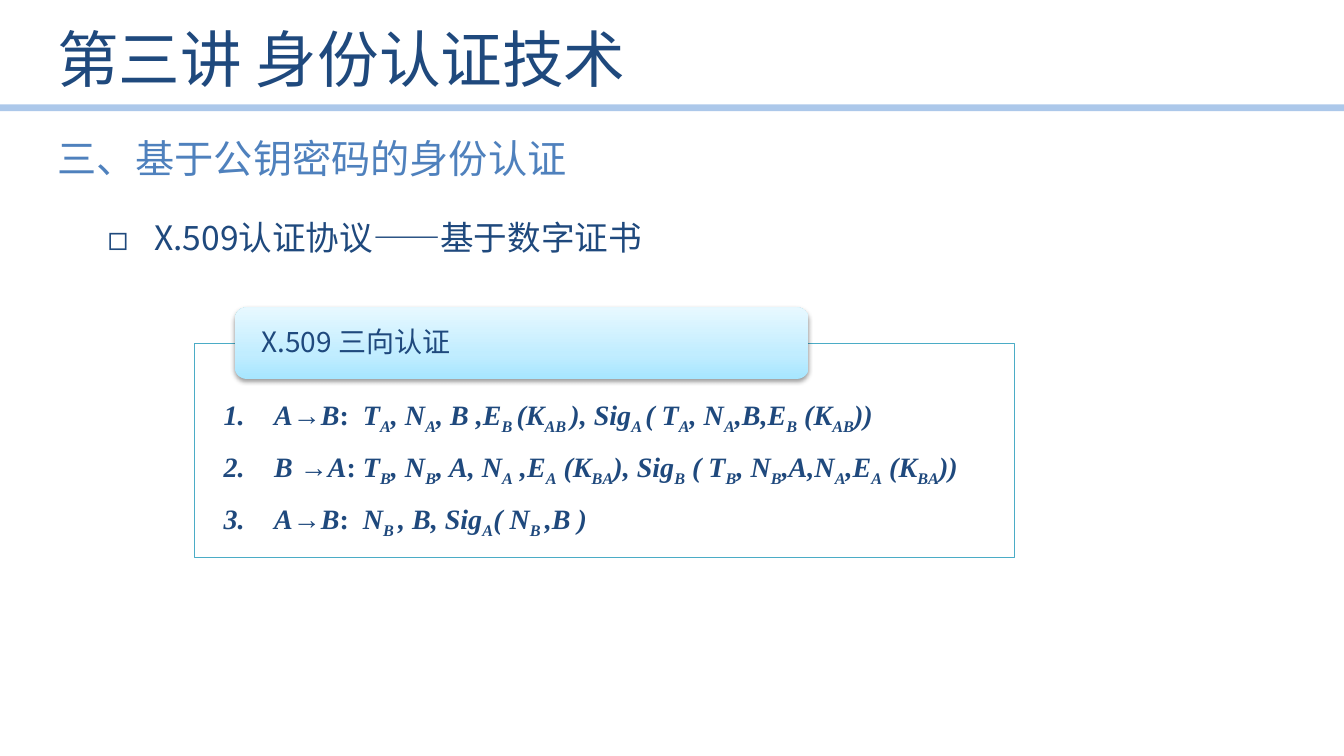
from itertools import groupby

from lxml import etree
from pptx import Presentation
from pptx import util as u
from pptx.dml.color import RGBColor
from pptx.enum import shapes, text
from pptx.oxml.ns import nsdecls, qn

COLORS = {
    "navy": "1F497D", "blue": "4F81BD", "rule": "8EB4E3", "frame": "4BACC6",
    "white": "FFFFFF", "shadow": "000000",
    "label_bottom": "A7E6FF", "label_middle": "C1EDFF", "label_top": "E7F8FF",
}
SANS, SERIF = "Noto Sans CJK SC", "Times New Roman"

# Subscripts stand between angle brackets
PROTOCOL_STEPS = [
    "A→B:  T<A>, N<A>, B ,E<B >(K<AB >), Sig<A >( T<A>, N<A>,B,E<B> (K<AB>))",
    "B →A: T<B>, N<B>, A, N<A> ,E<A> (K<BA>), Sig<B> ( T<B>, N<B>,A,N<A>,E<A> (K<BA>))",
    "A→B:  N<B >, B, Sig<A>( N<B >,B )",
]


def rgb(name):
    return RGBColor.from_string(COLORS[name])


def add_xml(parent, tag, content="", **attributes):
    values = "".join(f' {key}="{value}"' for key, value in attributes.items())
    xml = f'<a:{tag} {nsdecls("a")}{values}>{content}</a:{tag}>'
    parent.append(etree.fromstring(xml))


def set_opacity(properties, percent):
    add_xml(properties.find(".//" + qn("a:srgbClr")), "alpha", val=percent * 1000)


def add_run(paragraph, content, size=20, font=SANS, color="navy",
            bold=False, italic=False, subscript=False):
    run = paragraph.add_run()
    run.text = content
    run.font.size = u.Pt(size)
    run.font.bold, run.font.italic = bold, italic
    run.font.color.rgb = rgb(color)
    run.font.name = font
    properties = run.font._element
    add_xml(properties, "ea", typeface=font)
    if subscript:
        properties.set("baseline", "-25000")


def add_formula(paragraph, formula):
    for index, part in enumerate(formula.replace(">", "<").split("<")):
        # Arrows and colons stay upright
        for upright, letters in groupby(part, lambda letter: letter in "→:"):
            add_run(paragraph, "".join(letters), font=SERIF, bold=True,
                    italic=not upright, subscript=index % 2 == 1)


def format_paragraph(paragraph, line=None, before=None, after=None,
                     margin=0, indent=0, bullet=None, number=None):
    properties = paragraph._p.get_or_add_pPr()
    properties.set("marL", str(u.Inches(margin)))
    properties.set("indent", str(u.Inches(indent)))
    for tag, percent in (("lnSpc", line), ("spcBef", before), ("spcAft", after)):
        if percent is not None:
            add_xml(properties, tag, f'<a:spcPct val="{percent * 1000}"/>')
    if bullet:
        add_xml(properties, "buFont", typeface=SANS)
        add_xml(properties, "buChar", char=bullet)
    if number:
        add_xml(properties, "buFont", typeface=SERIF)
        add_xml(properties, "buAutoNum", type=number)


def add_text_frame(slide, left, top, width, height, inset=(0.1, 0.05),
                   anchor=text.MSO_ANCHOR.TOP, wrap=True):
    box = slide.shapes.add_textbox(*map(u.Inches, (left, top, width, height)))
    frame = box.text_frame
    frame.word_wrap = wrap
    frame.vertical_anchor = anchor
    frame.margin_left = frame.margin_right = u.Inches(inset[0])
    frame.margin_top = frame.margin_bottom = u.Inches(inset[1])
    return frame


def add_header_rule(slide):
    rule = slide.shapes.add_connector(
        shapes.MSO_CONNECTOR.STRAIGHT, 0, u.Inches(1.07), u.Inches(13.33), u.Inches(1.07))
    rule.line.color.rgb = rgb("rule")
    rule.line.width = u.Pt(4.75)
    properties = rule._element.spPr
    set_opacity(properties, 73)
    add_xml(properties, "effectLst")


def add_panel(slide, kind, left, top, width, height):
    shape = slide.shapes.add_shape(kind, *map(u.Inches, (left, top, width, height)))
    shape.shadow.inherit = False
    return shape


def add_protocol_frame(slide):
    frame = add_panel(slide, shapes.MSO_SHAPE.RECTANGLE, 1.93, 3.41, 8.13, 2.12)
    frame.fill.solid()
    frame.fill.fore_color.rgb = rgb("white")
    set_opacity(frame._element.spPr, 90)
    frame.line.color.rgb = rgb("frame")
    frame.line.width = u.Pt(0.75)


def add_label_panel(slide):
    panel = add_panel(slide, shapes.MSO_SHAPE.ROUNDED_RECTANGLE, 2.33, 3.05, 5.69, 0.71)
    panel.line.fill.background()
    panel.fill.gradient()
    panel.fill.gradient_angle = 90
    properties = panel._element.spPr
    stops = properties.find(".//" + qn("a:gsLst"))
    for stop in list(stops):
        stops.remove(stop)
    for position, name in ((0, "label_bottom"), (35, "label_middle"), (100, "label_top")):
        add_xml(stops, "gs", f'<a:srgbClr val="{COLORS[name]}"/>', pos=position * 1000)
    # Soft shadow straight below
    shadow = f'<a:srgbClr val="{COLORS["shadow"]}"><a:alpha val="38000"/></a:srgbClr>'
    add_xml(properties.find(qn("a:effectLst")), "outerShdw", shadow,
            blurRad=u.Pt(3.1), dist=u.Pt(1.6), dir=5400000, rotWithShape=0)


def main():
    presentation = Presentation()
    presentation.slide_width, presentation.slide_height = u.Inches(13.33), u.Inches(7.5)
    slide = presentation.slides.add_slide(presentation.slide_layouts[6])
    middle = text.MSO_ANCHOR.MIDDLE

    # Header
    add_header_rule(slide)
    title = add_text_frame(slide, 0.47, 0.09, 11.02, 0.97, anchor=middle)
    add_run(title.paragraphs[0], "第三讲 身份认证技术", size=44)

    # Section heading and topic
    topic = add_text_frame(slide, 0.47, 2.02, 12.28, 4.41).paragraphs[0]
    topic.alignment = text.PP_ALIGN.JUSTIFY
    format_paragraph(topic, line=120, before=20, margin=0.96, indent=-0.46, bullet="◻")
    add_run(topic, "X.509认证协议——基于数字证书", size=24)
    section = add_text_frame(slide, 0.47, 1.28, 5.31, 0.57, wrap=False)
    add_run(section.paragraphs[0], "三、基于公钥密码的身份认证", size=28, color="blue")

    # Protocol panel with its label
    add_protocol_frame(slide)
    add_label_panel(slide)
    label = add_text_frame(slide, 2.37, 3.09, 5.62, 0.64, inset=(0.22, 0), anchor=middle)
    format_paragraph(label.paragraphs[0], line=90, after=35)
    add_run(label.paragraphs[0], "X.509 三向认证")

    # Protocol steps
    steps = add_text_frame(slide, 2.12, 3.89, 7.74, 1.45)
    for index, formula in enumerate(PROTOCOL_STEPS):
        paragraph = steps.add_paragraph() if index else steps.paragraphs[0]
        format_paragraph(paragraph, before=50, margin=0.5, indent=-0.5, number="arabicPeriod")
        add_formula(paragraph, formula)

    presentation.save("out.pptx")


if __name__ == "__main__":
    main()
